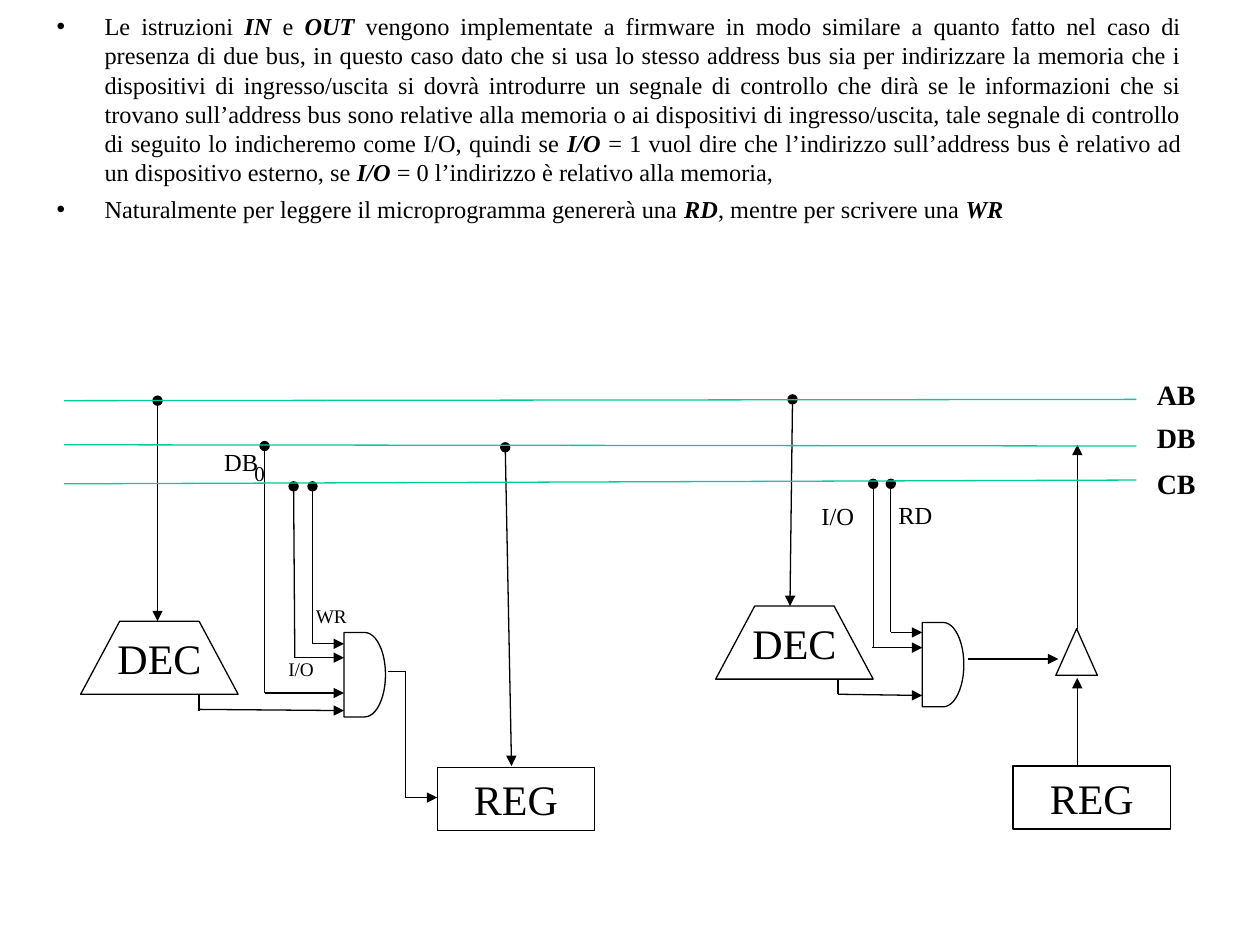
from lxml import etree
from pptx import Presentation
from pptx import util as u
from pptx.dml.color import RGBColor
from pptx.enum import shapes, text
from pptx.oxml.ns import qn

HUES = {"ink": "000000", "bus": "00CC98"}
FONT = "Times New Roman"
KIND = shapes.MSO_SHAPE
ALIGN = text.PP_ALIGN
FIT = text.MSO_AUTO_SIZE


def inch(val):
    """Turn a grid value in inches into a length."""
    return u.Cm(val * 2.54)


def apply(obj, **vals):
    for key, val in vals.items():
        setattr(obj, key, val)


class Board:
    """Holds the drawing style and the current slide."""

    def __init__(self, slide):
        self.slide = slide
        self.items = slide.shapes
        self.pen = u.Pt(0.75)

    def hue(self, name):
        return RGBColor.from_string(HUES[name])

    def run(self, para, words, size, **look):
        run = para.add_run()
        run.text = words
        apply(run.font, name=FONT, size=u.Pt(size), **look)
        run.font.color.rgb = self.hue("ink")

    def body(self, box, paras, size):
        """Fill the body placeholder; every second piece is bold italic."""
        hold = self.slide.placeholders[1]
        apply(hold, **dict(zip(("left", "top", "width", "height"), map(inch, box))))
        frame = hold.text_frame
        apply(frame, auto_size=FIT.NONE, word_wrap=True,
              vertical_anchor=text.MSO_ANCHOR.TOP)
        for num, parts in enumerate(paras):
            para = frame.add_paragraph() if num else frame.paragraphs[0]
            apply(para, alignment=ALIGN.JUSTIFY, space_before=u.Pt(4.5), line_spacing=1.0)
            props = para._p.get_or_add_pPr()
            props.set("marL", str(inch(0.38)))
            props.set("indent", str(-inch(0.38)))
            for pos, part in enumerate(parts):
                strong = pos % 2 == 1
                self.run(para, part, size, bold=strong, italic=strong)

    def label(self, box, words, size, bold=False):
        frame = self.items.add_textbox(*map(inch, box)).text_frame
        apply(frame, word_wrap=False, auto_size=FIT.SHAPE_TO_FIT_TEXT,
              margin_left=0, margin_right=0)
        para = frame.paragraphs[0]
        para.alignment = ALIGN.CENTER
        self.run(para, words, size, bold=bold)

    def style(self, item, words):
        item.shadow.inherit = False
        item.fill.background()
        item.line.color.rgb = self.hue("ink")
        item.line.width = self.pen
        if words:
            frame = item.text_frame
            apply(frame, word_wrap=False, vertical_anchor=text.MSO_ANCHOR.MIDDLE)
            frame.paragraphs[0].alignment = ALIGN.CENTER
            self.run(frame.paragraphs[0], words, 24)

    def block(self, kind, box, words=""):
        self.style(self.items.add_shape(kind, *map(inch, box)), words)

    def coder(self, left, top):
        """Draw a decoder: a trapezoid with the narrow side up."""
        spots = [(0, 0.58), (0.31, 0), (0.94, 0), (1.25, 0.58)]
        pts = [(inch(left + x), inch(top + y)) for x, y in spots]
        pen = self.items.build_freeform(*pts[0])
        pen.add_line_segments(pts[1:], close=True)
        self.style(pen.convert_to_shape(), "DEC")

    def wire(self, ends, head="", tail="", hue="ink"):
        line = self.items.add_connector(shapes.MSO_CONNECTOR.STRAIGHT, *map(inch, ends))
        line.line.color.rgb = self.hue(hue)
        line.line.width = self.pen
        props = line._element.spPr
        for tag, mark in (("a:headEnd", head), ("a:tailEnd", tail)):
            if mark:
                etree.SubElement(props.find(qn("a:ln")), qn(tag)).set("type", mark)
        etree.SubElement(props, qn("a:effectLst"))


PARAS = [
    ["Le istruzioni ", "IN", " e ", "OUT",
     " vengono implementate a firmware in modo similare a quanto fatto nel caso di "
     "presenza di due bus, in questo caso dato che si usa lo stesso address bus sia per "
     "indirizzare la memoria che i dispositivi di ingresso/uscita si dovrà introdurre un "
     "segnale di controllo che dirà se le informazioni che si trovano sull’address bus "
     "sono relative alla memoria o ai dispositivi di ingresso/uscita, tale segnale di "
     "controllo di seguito lo indicheremo come I/O, quindi se",
     " I/O ",
     "= 1 vuol dire che l’indirizzo sull’address bus è relativo ad un dispositivo "
     "esterno, se ",
     "I/O", " = 0 l’indirizzo è relativo alla memoria,"],
    ["Naturalmente per leggere il microprogramma genererà una", " RD",
     ", mentre per scrivere una ", "WR"],
]

# Wires as x1, y1, x2, y2, grouped by their end marks
DROPS = [(1.25, 3.18, 1.25, 4.93), (6.29, 3.17, 6.27, 4.81), (4.01, 3.55, 4.06, 6.08)]
TAPS = [(2.48, 5.11, 2.48, 3.86), (2.34, 5.22, 2.33, 3.86), (2.1, 5.5, 2.1, 3.54),
        (7.07, 5.02, 7.07, 3.84), (6.93, 5.14, 6.93, 3.84)]
ARROWS = [(2.48, 5.11, 2.73, 5.11), (2.33, 5.22, 2.73, 5.22), (2.1, 5.5, 2.73, 5.5),
          (1.58, 5.63, 2.73, 5.64), (3.22, 6.33, 3.47, 6.33),
          (7.07, 5.02, 7.32, 5.02), (6.92, 5.14, 7.32, 5.14), (6.65, 5.51, 7.32, 5.52),
          (7.68, 5.23, 8.4, 5.23), (8.55, 6.08, 8.55, 5.38), (8.55, 4.99, 8.55, 3.53)]
PLAIN = [(1.58, 5.51, 1.58, 5.64), (3.08, 5.33, 3.22, 5.33), (3.22, 5.33, 3.22, 6.33),
         (6.65, 5.39, 6.65, 5.51)]
WIRES = [(DROPS, {"head": "oval", "tail": "triangle"}), (TAPS, {"tail": "oval"}),
         (ARROWS, {"tail": "triangle"}), (PLAIN, {})]

# Bus name, line height at left and right, top of the name
BUSES = [("AB", 3.18, 3.17, 2.95), ("DB", 3.53, 3.54, 3.29), ("CB", 3.84, 3.81, 3.65)]

LABELS = [((2.41, 4.75, 0.44, 0.29), "WR", 11), ((2.19, 5.17, 0.4, 0.29), "I/O", 11),
          ((1.68, 3.5, 0.47, 0.34), "DB", 14), ((1.92, 3.61, 0.28, 0.3), "0", 12),
          ((7.03, 3.92, 0.47, 0.34), "RD", 14), ((6.42, 3.93, 0.46, 0.34), "I/O", 14)]


def main():
    deck = Presentation()
    apply(deck, slide_width=inch(10), slide_height=inch(7.5))
    slide = deck.slides.add_slide(deck.slide_layouts[1])
    title = slide.shapes.title.element
    title.getparent().remove(title)

    board = Board(slide)
    board.body((0.35, 0.04, 9.13, 1.97), PARAS, 13.9)
    for left, top in ((0.64, 4.93), (5.68, 4.81)):
        board.coder(left, top)
    for left, top in ((3.47, 6.09), (8.04, 6.08)):
        board.block(KIND.RECTANGLE, (left, top, 1.25, 0.5), "REG")
    for left, top in ((2.73, 5.02), (7.32, 4.94)):
        board.block(KIND.FLOWCHART_DELAY, (left, top, 0.33, 0.67))
    board.block(KIND.ISOSCELES_TRIANGLE, (8.38, 4.99, 0.33, 0.37))
    for group, marks in WIRES:
        for ends in group:
            board.wire(ends, **marks)
    for name, start, end, top in BUSES:
        board.wire((0.51, start, 9.02, end), hue="bus")
        board.label((9.08, top, 0.51, 0.37), name, 16, bold=True)
    for box, words, size in LABELS:
        board.label(box, words, size)
    deck.save("out.pptx")


if __name__ == "__main__":
    main()
